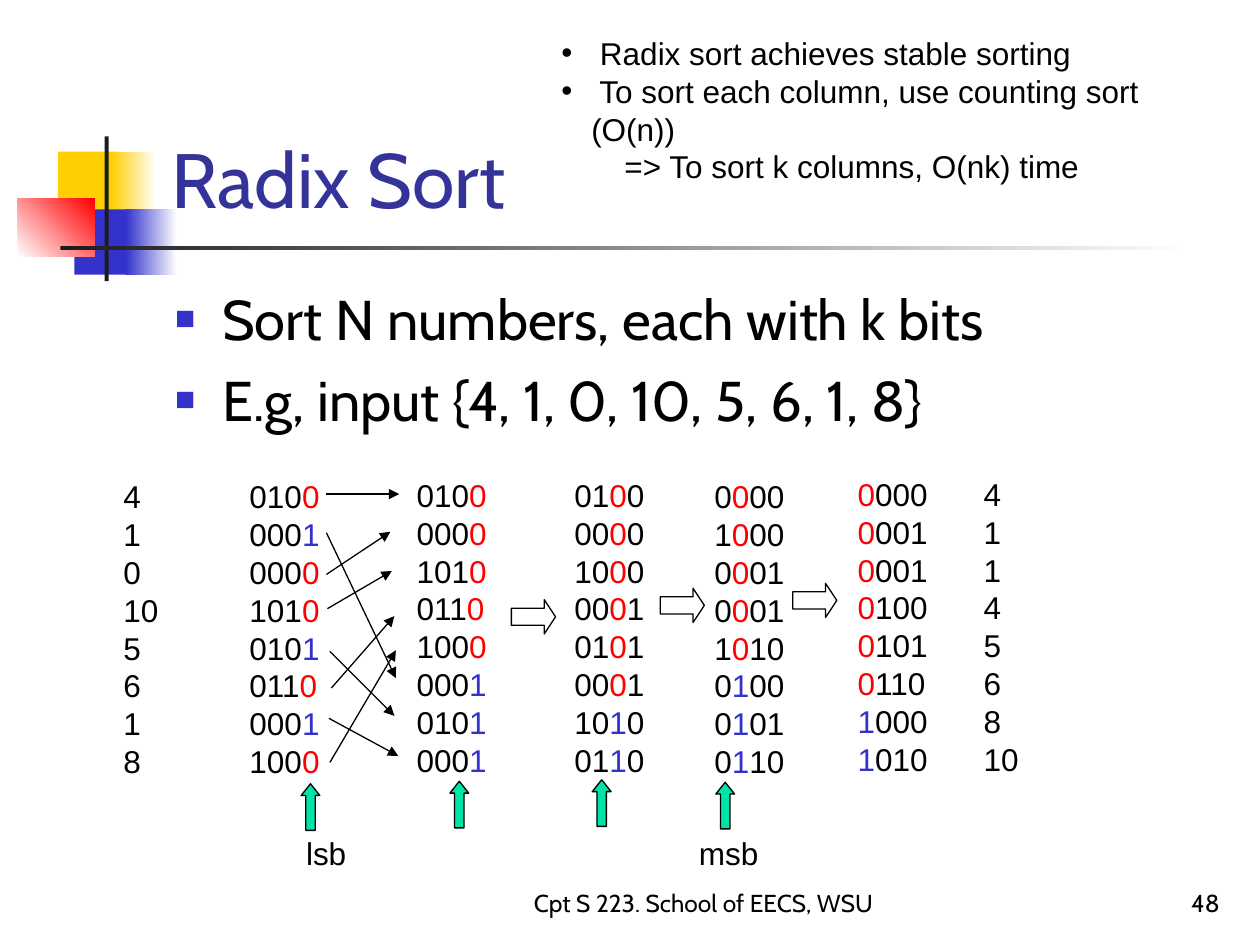
from dataclasses import dataclass

from lxml.etree import SubElement
from pptx import Presentation
from pptx.dml.color import RGBColor as RGB
from pptx.enum.shapes import MSO_CONNECTOR as CONN, MSO_SHAPE as SHAPE
from pptx.enum.text import MSO_ANCHOR as ANCHOR, PP_ALIGN as ALIGN
from pptx.oxml.ns import qn
from pptx.util import Cm, Pt


@dataclass(frozen=True)
class Theme:
    """Colours, fonts and sizes of the slide."""
    black: str = "000000"
    white: str = "FFFFFF"
    title: str = "333399"
    blue: str = "3333CC"
    red: str = "FF0000"
    yellow: str = "FFCF01"
    dark: str = "1C1C1C"
    green: str = "00E4A8"
    heading_font: str = "Cabin"
    text_font: str = "Arial"
    title_size: float = 44
    body_size: float = 32
    text_size: float = 18
    footer_size: float = 14
    text_leading: float = 21.6
    line_width: float = 0.74


class Deck:
    """Draws styled elements on the current slide; lengths are in cm."""

    def __init__(self, theme):
        """Start a 4:3 presentation."""
        self.theme = theme
        self.prs = Presentation()
        self.prs.slide_width, self.prs.slide_height = Cm(25.4), Cm(19.05)
        self.s = None

    def add_slide(self, title, box):
        """Add a title-only slide and format its title."""
        self.s = self.prs.slides.add_slide(self.prs.slide_layouts[5])
        sp = self.s.shapes.title
        sp.left, sp.top, sp.width, sp.height = map(Cm, box)
        tf = sp.text_frame
        tf.text = title
        tf.vertical_anchor = ANCHOR.BOTTOM
        p = tf.paragraphs[0]
        p.alignment = ALIGN.LEFT
        self.font(p.runs[0], self.theme.title_size, self.theme.heading_font, self.theme.title)

    def font(self, r, size, name, color):
        """Set the font of a run."""
        r.font.size, r.font.name = Pt(size), name
        r.font.color.rgb = RGB.from_string(color)

    def text(self, box, lines, size=None, name=None, align=ALIGN.LEFT, anchor=ANCHOR.TOP):
        """Add a text box; a line is a string or a list of (text, colour)."""
        t = self.theme
        size, name = size or t.text_size, name or t.text_font
        tf = self.s.shapes.add_textbox(*map(Cm, box)).text_frame
        tf.word_wrap, tf.vertical_anchor = True, anchor
        for i, line in enumerate(lines):
            p = tf.paragraphs[0] if i == 0 else tf.add_paragraph()
            p.alignment = align
            if name == t.text_font:
                p.line_spacing = Pt(t.text_leading)
            for words, color in [(line, t.black)] if isinstance(line, str) else line:
                if words:
                    r = p.add_run()
                    r.text = words
                    self.font(r, size, name, color)
        return tf

    def tab_stop(self, p, position):
        """Give a paragraph one left tab stop."""
        tabs = SubElement(p._p.get_or_add_pPr(), qn("a:tabLst"))
        SubElement(tabs, qn("a:tab"), pos=str(Cm(position)), algn="l")

    def indent(self, p, left, bullet=None, color=None, percent=100):
        """Indent a paragraph, with a hanging bullet if one is given."""
        pPr = p._p.get_or_add_pPr()
        pPr.set("marL", str(Cm(left)))
        pPr.set("indent", str(-Cm(left) if bullet else 0))
        if bullet:
            SubElement(SubElement(pPr, qn("a:buClr")), qn("a:srgbClr")).set("val", color)
            SubElement(pPr, qn("a:buSzPct")).set("val", str(percent * 1000))
            SubElement(pPr, qn("a:buFont")).set("typeface", self.theme.text_font)
            SubElement(pPr, qn("a:buChar")).set("char", bullet)

    def shape(self, kind, box, fill=None, outlined=False, adjust=()):
        """Add a preset shape; a pair of colours makes a gradient."""
        sp = self.s.shapes.add_shape(kind, *map(Cm, box))
        sp.shadow.inherit = False
        for i, value in enumerate(adjust):
            sp.adjustments[i] = value
        if fill is None:
            sp.fill.background()
        elif isinstance(fill, str):
            sp.fill.solid()
            sp.fill.fore_color.rgb = RGB.from_string(fill)
        else:
            sp.fill.gradient()
            for stop, color in zip(sp.fill.gradient_stops, fill):
                stop.color.rgb = RGB.from_string(color)
            sp.fill.gradient_angle = 0
        if outlined:
            self.stroke(sp.line)
        else:
            sp.line.fill.background()
        return sp

    def stroke(self, line):
        """Give a line the thin black style."""
        line.color.rgb = RGB.from_string(self.theme.black)
        line.width = Pt(self.theme.line_width)

    def arrow(self, x1, y1, x2, y2):
        """Add a straight arrow."""
        cxn = self.s.shapes.add_connector(CONN.STRAIGHT, *map(Cm, (x1, y1, x2, y2)))
        self.stroke(cxn.line)
        SubElement(cxn.line._get_or_add_ln(), qn("a:tailEnd"), type="triangle")
        SubElement(cxn._element.spPr, qn("a:effectLst"))


def draw_ornament(deck):
    """Draw the coloured blocks and crossing bars beside the title."""
    t = deck.theme
    for box, fill in [
        ((1.17, 3.06, 1.22, 1.32), t.yellow),
        ((2.24, 3.06, 0.91, 1.32), (t.yellow, t.white)),
        ((1.5, 4.22, 1.17, 1.32), t.blue),
        ((2.54, 4.22, 1.02, 1.32), (t.blue, t.white)),
    ]:
        deck.shape(SHAPE.RECTANGLE, box, fill)
    red = deck.shape(SHAPE.RECTANGLE, (0.36, 4.01, 1.55, 1.17), (t.white, t.red))
    red.fill.gradient_angle = 45
    deck.shape(SHAPE.RECTANGLE, (2.11, 2.75, 0.08, 2.92), t.dark)
    deck.shape(SHAPE.RECTANGLE, (1.22, 4.95, 22.86, 0.09), (t.dark, t.white))


def draw_sort(deck, numbers, result):
    """Draw each pass of the sort with its current bit highlighted."""
    t = deck.theme
    bits = 4
    codes = [f"{n:0{bits}b}" for n in numbers]

    def column(x, y, width, col, before=None, after=None):
        """Write the codes as one column, with optional tabbed labels."""
        before = [f"{n}\t" for n in before] if before else [""] * len(codes)
        after = [f"\t{n}" for n in after] if after else [""] * len(codes)
        tf = deck.text((x, y, width, 6.35), [
            [(b + code[:col], t.black),
             (code[col], t.blue if code[col] == "1" else t.red),
             (code[col + 1:] + a, t.black)]
            for b, code, a in zip(before, codes, after)])
        for p in tf.paragraphs:
            deck.tab_stop(p, 2.54)

    column(2.24, 9.5, 4.5, bits - 1, before=numbers)
    places = [(8.15, 9.47), (11.33, 9.47), (14.15, 9.5), (17.04, 9.45)]
    for col, (x, y) in zip(reversed(range(bits)), places):
        codes.sort(key=lambda code: code[col])
        last = col == 0
        column(x, y, 3.9 if last else 2, col, after=result if last else None)

    for x, y in [(6.07, 15.8), (9.07, 15.75), (11.94, 15.72), (14.43, 15.77)]:
        deck.shape(SHAPE.UP_ARROW, (x, y, 0.38, 0.94), t.green, True, (0.5, 0.63))
    for x, y in [(10.31, 12.09), (13.31, 11.86), (15.98, 11.76)]:
        deck.shape(SHAPE.RIGHT_ARROW, (x, y, 0.89, 0.69), None, True, (0.5, 0.33))
    for ends in [
        (6.58, 9.96, 8.05, 9.96), (6.58, 10.74, 7.98, 13.67),
        (6.58, 11.58, 7.87, 10.72), (6.6, 12.27, 7.9, 11.51),
        (6.65, 13.13, 7.95, 14.43), (6.68, 13.87, 7.95, 12.42),
        (6.63, 14.48, 8.03, 15.24), (6.65, 15.37, 7.98, 13.11),
    ]:
        deck.arrow(*ends)
    for label, x in [("lsb", 5.92), ("msb", 13.84)]:
        deck.text((x, 16.69, 1.75, 1.02), [label])


def main():
    """Build the radix sort slide."""
    t = Theme()
    deck = Deck(t)
    deck.add_slide("Radix Sort", (3.2, 0.58, 21.64, 4.06))
    draw_ornament(deck)

    numbers = [4, 1, 0, 10, 5, 6, 1, 8]
    listing = ", ".join(map(str, numbers))
    body = deck.text((3.28, 5.61, 21.59, 11.43),
                     ["Sort N numbers, each with k bits", f"E.g, input {{{listing}}}"],
                     t.body_size, t.heading_font)
    for p in body.paragraphs:
        p.space_before = Pt(8)
        deck.indent(p, 0.95, "■", t.blue, 60)

    draw_sort(deck, numbers, [4, 1, 1, 4, 5, 6, 8, 10])

    notes = deck.text((11.07, 0.56, 13.72, 2.54), [
        " Radix sort achieves stable sorting ",
        " To sort each column, use counting sort (O(n))",
        "=> To sort k columns, O(nk) time"])
    for p in notes.paragraphs[:2]:
        deck.indent(p, 0.6, "•", t.black)
    deck.indent(notes.paragraphs[2], 1.27)

    for words, x, width, align in [
        ("Cpt S 223. School of EECS, WSU", 10.16, 8.05, ALIGN.CENTER),
        ("48", 19.56, 5.28, ALIGN.RIGHT),
    ]:
        deck.text((x, 17.35, width, 1.27), [words], t.footer_size, t.heading_font,
                  align, ANCHOR.BOTTOM)
    deck.prs.save("out.pptx")


main()
